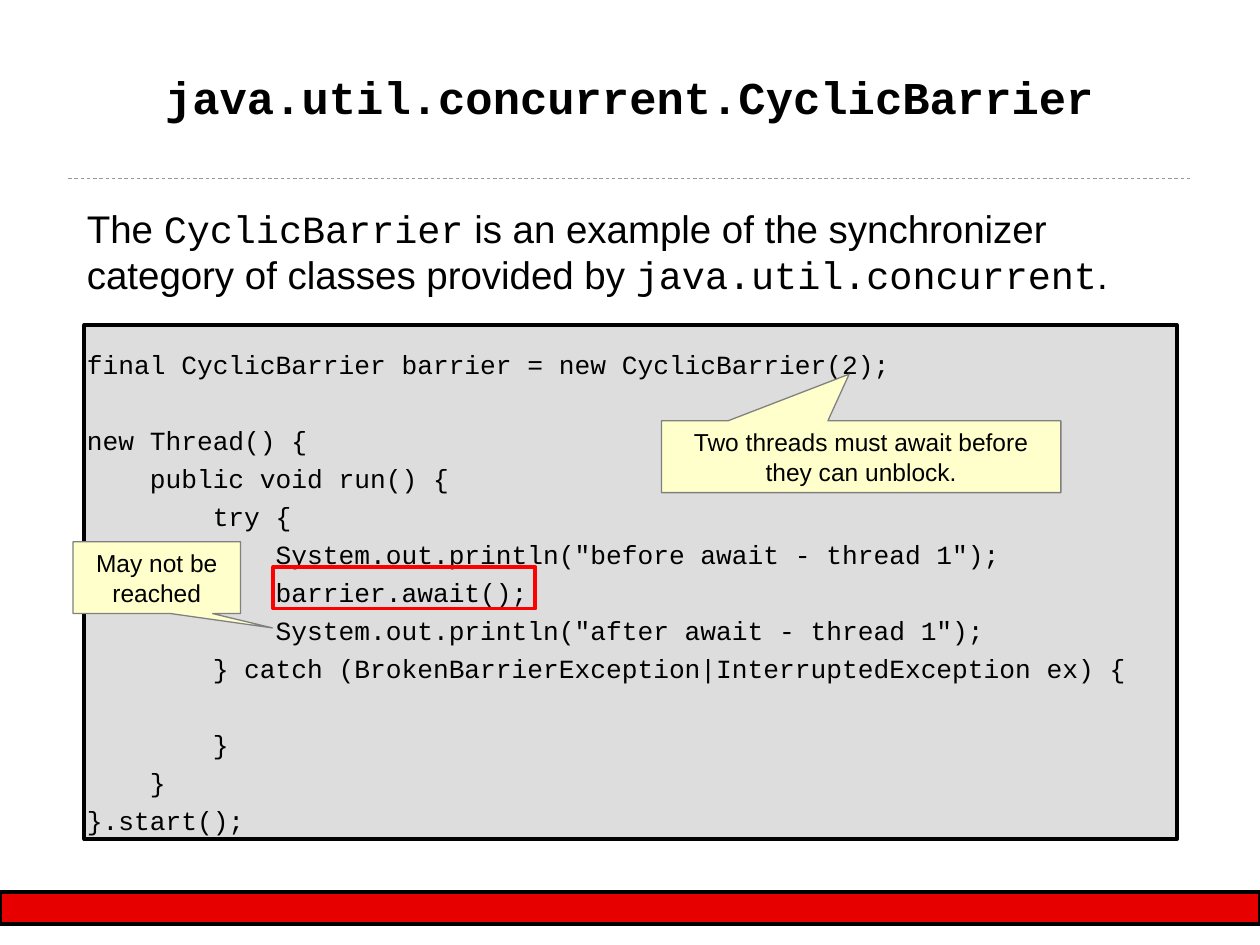
from lxml import etree
from pptx import Presentation
from pptx import util as u
from pptx.dml.color import RGBColor
from pptx.enum import dml, shapes, text
from pptx.oxml.ns import qn

COLOURS = {
    "text": "000000", "rule": "999999", "footer": "E70000", "code": "DDDDDD",
    "callout": "FFFFCC", "callout_line": "808080", "highlight": "FF0000",
}
SANS, MONO = "Arial", "Courier New"
INTRO = [
    ("The ", SANS), ("CyclicBarrier", MONO),
    (" is an example of the synchronizer category of classes provided by ", SANS),
    ("java.util.concurrent", MONO), (".", SANS),
]
CODE = """final CyclicBarrier barrier = new CyclicBarrier(2);

new Thread() {
    public void run() {
        try {
            System.out.println("before await - thread 1");
            barrier.await();
            System.out.println("after await - thread 1");
        } catch (BrokenBarrierException|InterruptedException ex) {

        }
    }
}.start();"""


def colour(name):
    """Return the named colour."""
    return RGBColor.from_string(COLOURS[name])


def inches(box):
    """Convert a left, top, width, height box to lengths."""
    return [u.Inches(value) for value in box]


def set_font(font, name, size, bold=False):
    """Give a font its face, size and weight in the text colour."""
    font.name, font.size, font.bold = name, u.Pt(size), bold
    font.color.rgb = colour("text")


def set_frame(frame, side, top, anchor=text.MSO_ANCHOR.TOP):
    """Set wrapping, margins and anchor of a text frame."""
    frame.word_wrap = True
    frame.auto_size = text.MSO_AUTO_SIZE.NONE
    frame.margin_left = frame.margin_right = u.Inches(side)
    frame.margin_top = frame.margin_bottom = u.Inches(top)
    frame.vertical_anchor = anchor


def add_box(slide, kind, box, fill, line, width):
    """Add a flat preset shape, unfilled when fill is None."""
    shape = slide.shapes.add_shape(kind, *inches(box))
    shape.shadow.inherit = False
    if fill:
        shape.fill.solid()
        shape.fill.fore_color.rgb = colour(fill)
    else:
        shape.fill.background()
    shape.line.color.rgb = colour(line)
    shape.line.width = u.Pt(width)
    return shape


def add_rule(slide, left, top, width):
    """Add the dashed rule under the title."""
    rule = slide.shapes.add_connector(
        shapes.MSO_CONNECTOR.STRAIGHT, *inches((left, top, left + width, top)))
    rule.line.color.rgb = colour("rule")
    rule.line.width = u.Pt(0.5)
    rule.line.dash_style = dml.MSO_LINE.DASH
    etree.SubElement(rule._element.spPr, qn("a:effectLst"))


def place_title(slide, box, words):
    """Move and format the title placeholder."""
    title = slide.shapes.title
    title.left, title.top, title.width, title.height = inches(box)
    set_frame(title.text_frame, 0.01, 0.07)
    title.text_frame.text = words
    paragraph = title.text_frame.paragraphs[0]
    paragraph.alignment = text.PP_ALIGN.CENTER
    set_font(paragraph.font, MONO, 26, True)


def add_intro(slide, box):
    """Add the sentence that mixes prose and class names."""
    frame = slide.shapes.add_textbox(*inches(box)).text_frame
    set_frame(frame, 0.02, 0.01)
    for words, face in INTRO:
        run = frame.paragraphs[0].add_run()
        run.text = words
        set_font(run.font, face, 22)


def add_code(slide, box):
    """Add the code panel with one paragraph per line."""
    panel = add_box(slide, shapes.MSO_SHAPE.RECTANGLE, box, "code", "text", 2.25)
    frame = panel.text_frame
    set_frame(frame, 0.02, 0.13)
    frame.margin_bottom = 0
    frame.text = CODE
    for paragraph in frame.paragraphs:
        paragraph.alignment = text.PP_ALIGN.LEFT
        paragraph.line_spacing = u.Pt(21.7)
        set_font(paragraph.font, MONO, 15)


def add_callout(slide, box, words, tip):
    """Add a callout whose tip is given relative to its centre."""
    callout = add_box(slide, shapes.MSO_SHAPE.RECTANGULAR_CALLOUT, box,
                      "callout", "callout_line", 0.75)
    callout.adjustments[0], callout.adjustments[1] = tip
    set_frame(callout.text_frame, 0.1, 0.05, text.MSO_ANCHOR.MIDDLE)
    callout.text_frame.text = words
    paragraph = callout.text_frame.paragraphs[0]
    paragraph.alignment = text.PP_ALIGN.CENTER
    set_font(paragraph.font, SANS, 14)


def main():
    """Build and save the slide."""
    presentation = Presentation()
    presentation.slide_width, presentation.slide_height = u.Inches(10), u.Inches(7.5)
    slide = presentation.slides.add_slide(presentation.slide_layouts[5])
    add_rule(slide, 0.54, 1.42, 8.92)
    add_box(slide, shapes.MSO_SHAPE.FLOWCHART_PROCESS, (0, 7.08, 10, 0.25),
            "footer", "text", 2.25)
    place_title(slide, (0.67, 0.48, 8.66, 0.96), "java.util.concurrent.CyclicBarrier")
    add_intro(slide, (0.67, 1.62, 8.66, 0.8))
    add_code(slide, (0.67, 2.58, 8.67, 4.08))
    add_callout(slide, (5.25, 3.34, 3.17, 0.57),
                "Two threads must await before they can unblock.", (-0.03, -1.15))
    add_callout(slide, (0.58, 4.3, 1.33, 0.57), "May not be reached", (0.69, 0.7))
    add_box(slide, shapes.MSO_SHAPE.RECTANGLE, (2.17, 4.5, 2.08, 0.33),
            None, "highlight", 2.25)
    presentation.save("out.pptx")


if __name__ == "__main__":
    main()
